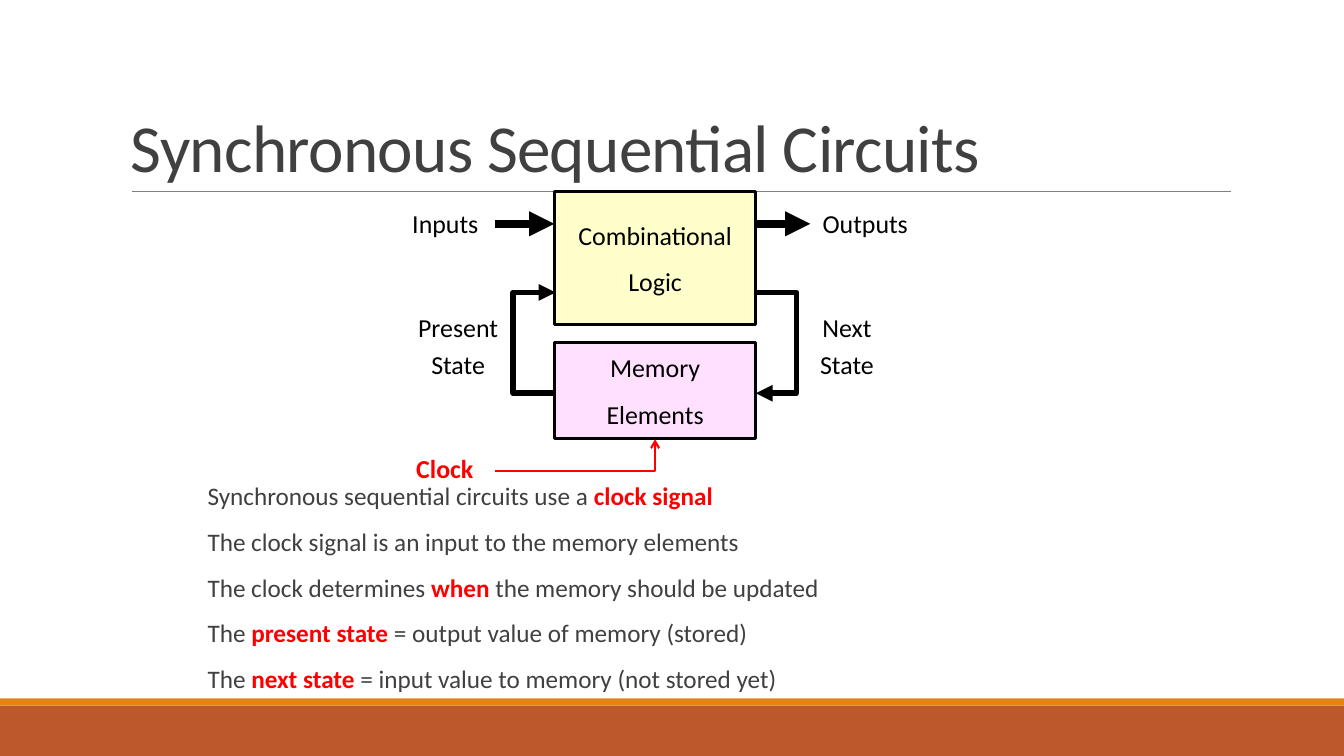
"""Build a slide on synchronous sequential circuits with a block diagram."""
from lxml import etree
from pptx import Presentation, util as u
from pptx.dml.color import RGBColor
from pptx.enum import shapes, text
from pptx.oxml import ns

THEME = {
    "font": "Calibri",
    "title_size": 48, "body_size": 18, "diagram_size": 18.5,
    "ink": "404040", "black": "000000", "red": "FF0000", "rule": "808080",
    "band": "BD582C", "accent": "E48312", "logic": "FFFFCC", "memory": "FFE1FF",
}


def write(paragraph, words, size, color, bold=False, **layout):
    """Append a formatted run and apply paragraph settings."""
    for name, value in layout.items():
        setattr(paragraph, name, value)
    run = paragraph.add_run()
    run.text = words
    run.font.color.rgb = RGBColor.from_string(THEME[color])
    for name, value in {"name": THEME["font"], "size": u.Pt(THEME[size]), "bold": bold}.items():
        setattr(run.font, name, value)
    return run


def outline(shape, color, width, arrowhead=None):
    """Set the line of a shape or connector, with an optional end arrowhead."""
    shape.line.color.rgb = RGBColor.from_string(THEME[color])
    shape.line.width = u.Pt(width)
    if arrowhead:
        etree.SubElement(shape.line._get_or_add_ln(), ns.qn("a:tailEnd"), type=arrowhead)


presentation = Presentation()
presentation.slide_width, presentation.slide_height = u.Cm(33.87), u.Cm(19.05)
slide = presentation.slides.add_slide(presentation.slide_layouts[1])
title, body = slide.placeholders

for placeholder, box, anchor, side in [
    (title, (3.05, 0.79, 27.94, 4.04), text.MSO_ANCHOR.BOTTOM, 0.25),
    (body, (4.98, 12.07, 22.96, 6.81), text.MSO_ANCHOR.TOP, 0),
]:
    for name, value in zip(("left", "top", "width", "height"), box):
        setattr(placeholder, name, u.Cm(value))
    for name, value in {"vertical_anchor": anchor, "word_wrap": True,
                        "auto_size": text.MSO_AUTO_SIZE.NONE,
                        "margin_left": u.Cm(side), "margin_right": u.Cm(side)}.items():
        setattr(placeholder.text_frame, name, value)

heading = write(title.text_frame.paragraphs[0], "Synchronous Sequential Circuits",
                "title_size", "ink", alignment=text.PP_ALIGN.LEFT, line_spacing=0.85)
heading._r.get_or_add_rPr().set("spc", "-50")

points = [
    ("Synchronous sequential circuits use a ", "clock signal", ""),
    ("The clock signal is an input to the memory elements", "", ""),
    ("The clock determines ", "when ", "the memory should be updated"),
    ("The ", "present state ", "= output value of memory (stored)"),
    ("The ", "next state ", "= input value to memory (not stored yet)"),
]
for index, (opening, keyword, ending) in enumerate(points):
    paragraph = body.text_frame.paragraphs[0] if index == 0 else body.text_frame.add_paragraph()
    properties = paragraph._p.get_or_add_pPr()
    properties.set("marL", str(u.Cm(0.25)))
    properties.set("indent", str(u.Cm(-0.25)))
    bullet_color = etree.SubElement(properties, ns.qn("a:buClr"))
    etree.SubElement(bullet_color, ns.qn("a:srgbClr"), val=THEME["accent"])
    etree.SubElement(properties, ns.qn("a:buChar"), char=" ")
    for words, color in ((opening, "ink"), (keyword, "red"), (ending, "ink")):
        if words:
            write(paragraph, words, "body_size", color, bold=color == "red",
                  line_spacing=0.9, space_before=u.Pt(11.1 if index else 0), space_after=u.Pt(2))

for top, height, color in ((17.78, 1.27, "band"), (17.6, 0.18, "accent")):
    bar = slide.shapes.add_shape(shapes.MSO_SHAPE.RECTANGLE, 0, u.Cm(top),
                                 presentation.slide_width, u.Cm(height))
    bar.shadow.inherit = False
    bar.fill.solid()
    bar.fill.fore_color.rgb = RGBColor.from_string(THEME[color])
    bar.line.fill.background()

straight_lines = [
    (3.33, 31.01, 4.83, "rule", 0.5, None),
    (12.47, 13.97, 5.64, "black", 6, "triangle"),
    (19.02, 20.42, 5.64, "black", 6, "triangle"),
]
for start, end, height, color, width, arrowhead in straight_lines:
    connector = slide.shapes.add_connector(shapes.MSO_CONNECTOR.STRAIGHT, u.Cm(start),
                                           u.Cm(height), u.Cm(end), u.Cm(height))
    outline(connector, color, width, arrowhead)
    etree.SubElement(connector._element.spPr, ns.qn("a:effectLst"))

bent_lines = [
    ([(12.47, 11.86), (16.51, 11.86), (16.51, 11.07)], "red", 1.5, "arrow"),
    ([(19, 7.37), (20.07, 7.37), (20.07, 9.91), (19.05, 9.91)], "black", 4, "triangle"),
    ([(13.94, 9.91), (12.93, 9.91), (12.93, 7.37), (14, 7.37)], "black", 4, "triangle"),
]
for corners, color, width, arrowhead in bent_lines:
    start, *others = [(u.Cm(x), u.Cm(y)) for x, y in corners]
    builder = slide.shapes.build_freeform(*start)
    builder.add_line_segments(others, close=False)
    wire = builder.convert_to_shape()
    wire.shadow.inherit = False
    wire.fill.background()
    outline(wire, color, width, arrowhead)

left, center = text.PP_ALIGN.LEFT, text.PP_ALIGN.CENTER
diagram_texts = [
    (["Combinational", "Logic"], (13.97, 4.83, 5.08, 3.35), "logic", "black", center, (1, 1.5)),
    (["Memory", "Elements"], (13.97, 8.64, 5.08, 2.41), "memory", "black", center, (1, 1.5)),
    (["Inputs"], (10.39, 5.05, 1.96, 1.14), None, "black", left, (1,)),
    (["Outputs"], (20.65, 5.05, 2.31, 1.14), None, "black", center, (1,)),
    (["Present", "State"], (10.39, 7.7, 2.31, 1.88), None, "black", center, (1.2, 1.2)),
    (["Next", "State"], (20.42, 7.7, 1.85, 1.88), None, "black", center, (1.2, 1.2)),
    (["Clock"], (10.49, 11.38, 1.96, 0.81), None, "red", left, (1,)),
]
for lines, box, fill, color, alignment, spacings in diagram_texts:
    place = [u.Cm(value) for value in box]
    if fill:
        shape = slide.shapes.add_shape(shapes.MSO_SHAPE.RECTANGLE, *place)
        shape.shadow.inherit = False
        shape.fill.solid()
        shape.fill.fore_color.rgb = RGBColor.from_string(THEME[fill])
        outline(shape, "black", 2)
    else:
        shape = slide.shapes.add_textbox(*place)
    frame = shape.text_frame
    for name, value in {"word_wrap": True, "vertical_anchor": text.MSO_ANCHOR.MIDDLE,
                        "margin_left": 0, "margin_right": 0,
                        "margin_top": 0, "margin_bottom": 0}.items():
        setattr(frame, name, value)
    for index, (line, spacing) in enumerate(zip(lines, spacings)):
        paragraph = frame.add_paragraph() if index else frame.paragraphs[0]
        write(paragraph, line, "diagram_size", color, bold=color == "red",
              alignment=alignment, line_spacing=spacing)

presentation.save("out.pptx")
